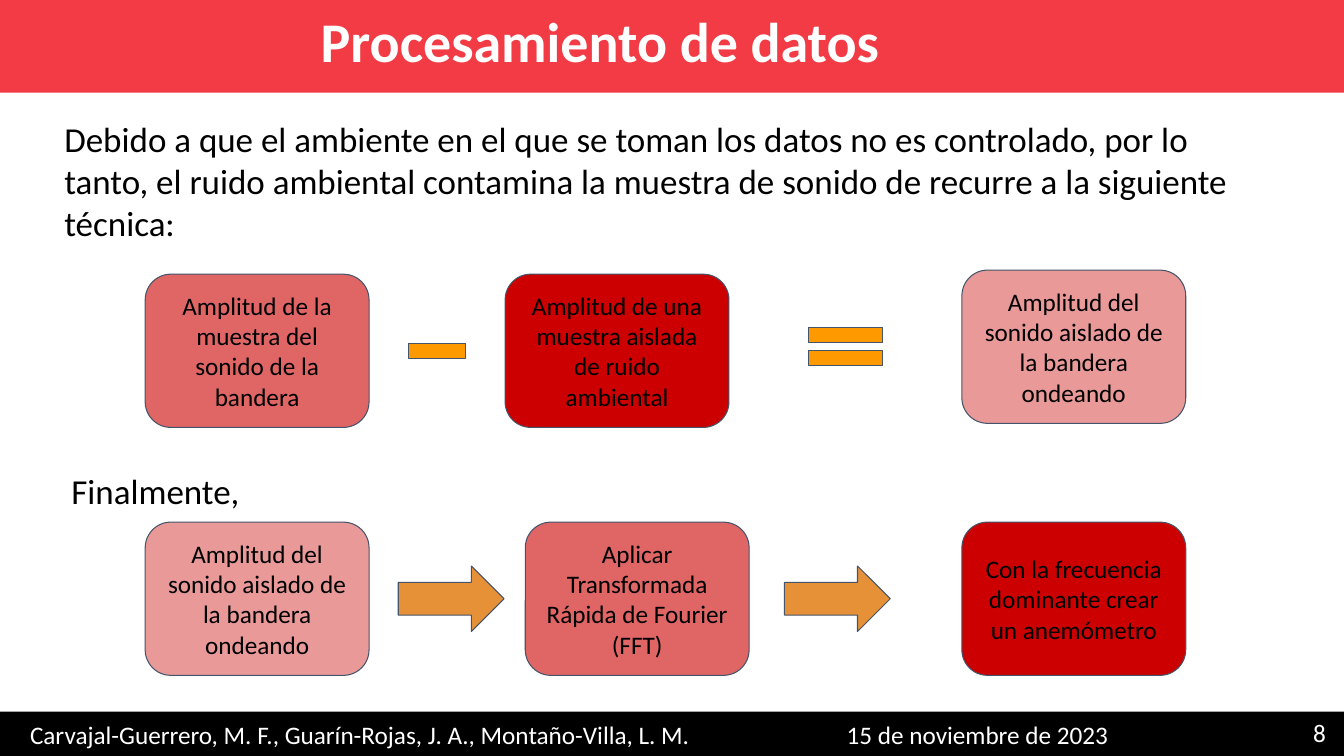
from lxml import etree
from pptx import Presentation
from pptx.dml.color import RGBColor
from pptx.enum.shapes import MSO_SHAPE
from pptx.enum.text import MSO_ANCHOR, MSO_AUTO_SIZE, PP_ALIGN
from pptx.oxml.ns import qn
from pptx.util import Inches, Pt

RECTANGLE, ROUNDED = MSO_SHAPE.RECTANGLE, MSO_SHAPE.ROUNDED_RECTANGLE
ARROW = MSO_SHAPE.RIGHT_ARROW
MINUS, EQUAL = MSO_SHAPE.MATH_MINUS, MSO_SHAPE.MATH_EQUAL
LEFT, CENTER, RIGHT = PP_ALIGN.LEFT, PP_ALIGN.CENTER, PP_ALIGN.RIGHT
TOP, MIDDLE = MSO_ANCHOR.TOP, MSO_ANCHOR.MIDDLE
FIT_SHAPE, FIXED = MSO_AUTO_SIZE.SHAPE_TO_FIT_TEXT, MSO_AUTO_SIZE.NONE

WIDTH, HEIGHT = 13.33, 7.5
BOX_WIDTH, BOX_HEIGHT = 2.22, 1.52
FIRST_COLUMN, LAST_COLUMN = 1.44, 9.54
TOP_ROW, BOTTOM_ROW = 2.72, 5.18
SIGN_COLUMN, SIGN_HEIGHT = 3.95, 0.65
SIGN_DROP = (BOX_HEIGHT - SIGN_HEIGHT) / 2
FONT = "Calibri"
WHITE, BLACK, RED = "FFFFFF", "000000", "F23B44"
ROSE, CORAL, CRIMSON = "EA9999", "E06666", "CC0000"
ORANGE, AMBER, OUTLINE = "E69138", "FF9900", "44546A"
ISOLATED_SOUND = "Amplitud del sonido aislado de la bandera ondeando"


def color(hex_code):
    return RGBColor.from_string(hex_code)


def write(shape, text, size, ink, align, anchor=TOP, inset=0.1, fit=FIT_SHAPE):
    """Fill the shape with text, one paragraph per line, and format it."""
    frame = shape.text_frame
    frame.text = text
    frame.word_wrap = True
    frame.auto_size = fit
    frame.vertical_anchor = anchor
    frame.margin_left = frame.margin_right = Inches(0.1)
    frame.margin_top = frame.margin_bottom = Inches(inset)
    for para in frame.paragraphs:
        para.alignment = align
        for span in para.runs:
            span.font.name = FONT
            span.font.size = Pt(size)
            span.font.color.rgb = color(ink)


def add_figure(page, kind, place, fill, line=OUTLINE, adjustments=()):
    figure = page.shapes.add_shape(kind, *map(Inches, place))
    figure.shadow.inherit = False
    figure.fill.solid()
    figure.fill.fore_color.rgb = color(fill)
    if line:
        figure.line.color.rgb = color(line)
        figure.line.width = Pt(0.75)
    else:
        figure.line.fill.background()
    for index, value in enumerate(adjustments):
        figure.adjustments[index] = value
    return figure


def add_band(page, top, height, fill):
    add_figure(page, RECTANGLE, (0, top, WIDTH, height), fill, line=None)


def add_step(page, left, top, fill, text):
    box = add_figure(page, ROUNDED, (left, top, BOX_WIDTH, BOX_HEIGHT), fill,
                     adjustments=[0.167])
    write(box, text, 18, BLACK, CENTER, MIDDLE, fit=FIXED)


def add_sign(page, kind, left, row, width, fill, adjustments):
    """Place an arrow or operator at mid height of a row of steps."""
    place = (left, row + SIGN_DROP, width, SIGN_HEIGHT)
    add_figure(page, kind, place, fill, adjustments=adjustments)


def add_text(page, place, *style):
    write(page.shapes.add_textbox(*map(Inches, place)), *style)


def add_text_shadow(span):
    properties = span.font.fill._xPr
    effects = etree.Element(qn("a:effectLst"))
    shadow = etree.SubElement(effects, qn("a:outerShdw"), blurRad="38100",
                              dist="38100", dir="2700000", algn="tl")
    shade = etree.SubElement(shadow, qn("a:srgbClr"), val=BLACK)
    etree.SubElement(shade, qn("a:alpha"), val="43000")
    properties.find(qn("a:solidFill")).addnext(effects)


def set_title(page, text):
    title = page.shapes.title
    title.left, title.top = Inches(0.14), Inches(0.01)
    title.width, title.height = Inches(11.62), Inches(0.77)
    write(title, text, 40, WHITE, CENTER, TOP, 0.05)
    span = title.text_frame.paragraphs[0].runs[0]
    span.font.bold = True
    add_text_shadow(span)
    page.shapes._spTree.append(title._element)


def add_footer(page):
    add_band(page, 7.06, HEIGHT - 7.06, BLACK)
    for left, top, width, align, text in (
        (0, 7.09, 7.14, CENTER,
         "Carvajal-Guerrero, M. F., Guarín-Rojas, J. A., Montaño-Villa, L. M."),
        (6.66, 7.09, 6.07, CENTER, "15 de noviembre de 2023"),
        (12.25, 7.07, 1, RIGHT, "8"),
    ):
        add_text(page, (left, top, width, 0.4), text, 18, WHITE, align, MIDDLE, 0.05)


def main():
    deck = Presentation()
    deck.slide_width, deck.slide_height = Inches(WIDTH), Inches(HEIGHT)
    page = deck.slides.add_slide(deck.slide_layouts[5])

    add_band(page, 0, 0.92, RED)
    set_title(page, "Procesamiento de datos")
    add_footer(page)

    add_text(page, (0.54, 1.07, 12.12, 1.46),
             "Debido a que el ambiente en el que se toman los datos no es "
             "controlado, por lo tanto, el ruido ambiental contamina la muestra "
             "de sonido de recurre a la siguiente técnica:", 25, BLACK, LEFT)
    add_text(page, (0.61, 4.56, 8.42, 0.62), "Finalmente,", 25, BLACK, LEFT)

    for left, top, fill, text in (
        (FIRST_COLUMN, TOP_ROW, CORAL,
         "Amplitud de la muestra del sonido de la bandera"),
        (5.01, TOP_ROW, CRIMSON,
         "Amplitud de una muestra aislada de ruido ambiental"),
        (LAST_COLUMN, TOP_ROW - 0.04, ROSE, ISOLATED_SOUND),
        (FIRST_COLUMN, BOTTOM_ROW, ROSE, ISOLATED_SOUND),
        (5.21, BOTTOM_ROW, CORAL,
         "Aplicar Transformada Rápida de Fourier\n(FFT)"),
        (LAST_COLUMN, BOTTOM_ROW, CRIMSON,
         "Con la frecuencia dominante crear un anemómetro"),
    ):
        add_step(page, left, top, fill, text)

    add_sign(page, MINUS, SIGN_COLUMN, TOP_ROW, 0.77, AMBER, [0.235])
    add_sign(page, EQUAL, 7.89, TOP_ROW - 0.04, 1, AMBER, [0.235, 0.118])
    for left in (SIGN_COLUMN, 7.78):
        add_sign(page, ARROW, left, BOTTOM_ROW, 1.05, ORANGE, [0.5, 0.5])

    deck.save("out.pptx")


if __name__ == "__main__":
    main()
